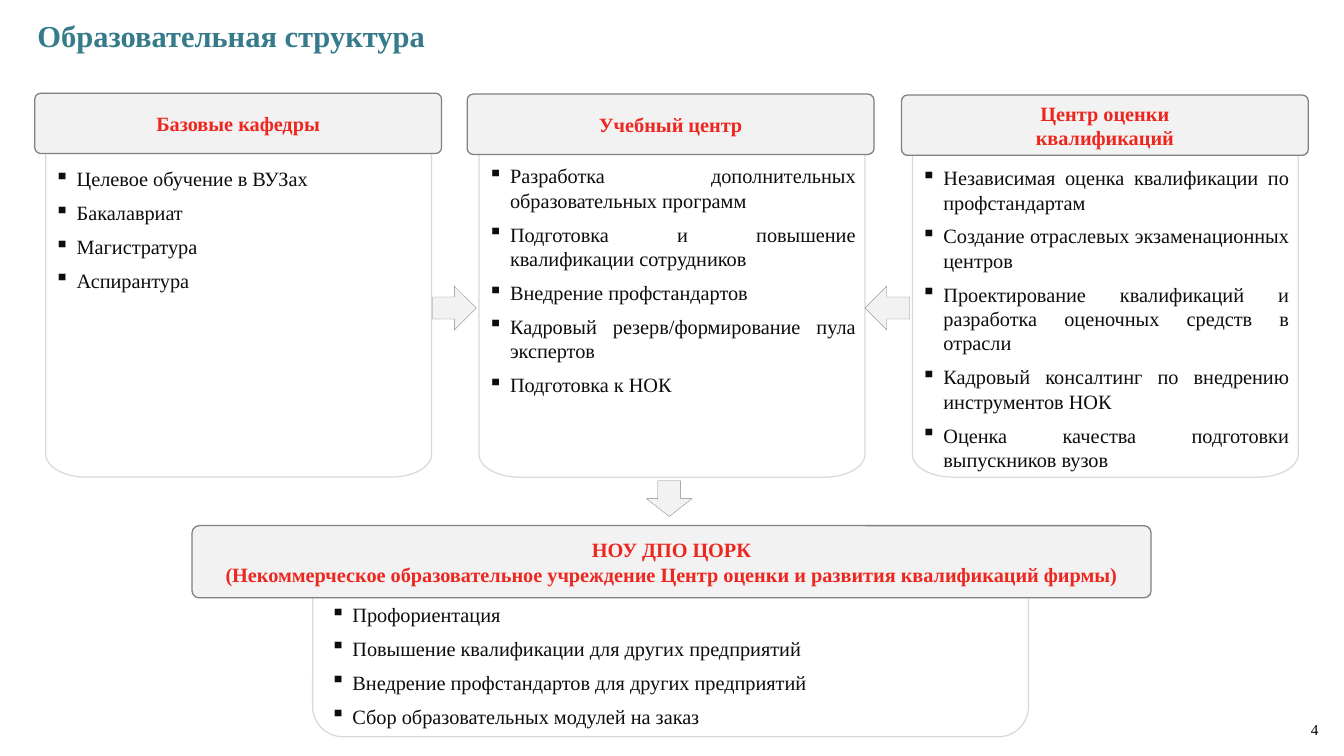
import math

from lxml import etree
from pptx import Presentation
from pptx.dml.color import RGBColor
from pptx.enum import shapes, text
from pptx.oxml import ns
from pptx.util import Inches, Pt

FONT = "Times New Roman"
TEAL = RGBColor(0x35, 0x7B, 0x8B)
RED = RGBColor(0xED, 0x27, 0x20)
INK = RGBColor(0x0D, 0x0D, 0x0D)
BLACK = RGBColor(0, 0, 0)
WHITE = RGBColor(0xFF, 0xFF, 0xFF)
PALE = RGBColor(0xF2, 0xF2, 0xF2)
LIGHT_GREY = RGBColor(0xD9, 0xD9, 0xD9)
GREY = RGBColor(0x80, 0x80, 0x80)

TITLE = "Образовательная структура"
PAGE = "4"

# header left, header top, panel left, panel top, header lines, bullet items
UNITS = [
    (0.38, 1.02, 0.5, 1.36, ["Базовые кафедры"], [
        "Целевое обучение в ВУЗах",
        "Бакалавриат",
        "Магистратура",
        "Аспирантура",
    ]),
    (5.11, 1.03, 5.24, 1.33, ["Учебный центр"], [
        "Разработка дополнительных образовательных программ",
        "Подготовка и повышение квалификации сотрудников",
        "Внедрение профстандартов",
        "Кадровый резерв/формирование пула экспертов",
        "Подготовка к НОК",
    ]),
    (9.86, 1.04, 9.98, 1.35, ["Центр оценки", "квалификаций"], [
        "Независимая оценка квалификации по профстандартам",
        "Создание отраслевых экзаменационных центров",
        "Проектирование квалификаций и разработка оценочных средств в отрасли",
        "Кадровый консалтинг по внедрению инструментов НОК",
        "Оценка качества подготовки выпускников вузов",
    ]),
]
HEADER_W, HEADER_H = 4.45, 0.66
PANEL_W, PANEL_BOTTOM = 4.22, 5.22
CORNER_W, CORNER_H = 0.44, 0.25

OUTCOME_HEADER = [
    "НОУ ДПО ЦОРК",
    "(Некоммерческое образовательное учреждение Центр оценки и развития квалификаций фирмы)",
]
OUTCOME_ITEMS = [
    "Профориентация",
    "Повышение квалификации для других предприятий",
    "Внедрение профстандартов для других предприятий",
    "Сбор образовательных модулей на заказ",
]

ARROWS = [
    (shapes.MSO_SHAPE.RIGHT_ARROW, 4.73, 3.13, 0.48, 0.48),
    (shapes.MSO_SHAPE.DOWN_ARROW, 7.07, 5.26, 0.5, 0.39),
    (shapes.MSO_SHAPE.LEFT_ARROW, 9.46, 3.13, 0.49, 0.48),
]

prs = Presentation()
prs.slide_width, prs.slide_height = Inches(14.7), Inches(8.27)
slide = prs.slides.add_slide(prs.slide_layouts[6])


def paint(shape, fill, line, width=1):
    shape.shadow.inherit = False
    shape.fill.solid()
    shape.fill.fore_color.rgb = fill
    shape.line.color.rgb = line
    shape.line.width = Pt(width)


def add_preset(kind, left, top, width, height):
    return slide.shapes.add_shape(
        kind, Inches(left), Inches(top), Inches(width), Inches(height))


def style(paragraph, size, color, align, bold=False):
    paragraph.alignment = align
    font = paragraph.font
    font.name, font.size, font.bold = FONT, Pt(size), bold
    font.color.rgb = color


def add_label(words, left, top, width, height, size, color, align, bold=False):
    box = slide.shapes.add_textbox(
        Inches(left), Inches(top), Inches(width), Inches(height))
    frame = box.text_frame
    frame.word_wrap = True
    frame.text = words
    style(frame.paragraphs[0], size, color, align, bold)
    return frame


def add_header(lines, left, top, width, height):
    header = add_preset(shapes.MSO_SHAPE.ROUNDED_RECTANGLE, left, top, width, height)
    header.adjustments[0] = 0.1
    paint(header, PALE, GREY)
    frame = header.text_frame
    frame.word_wrap = True
    frame.vertical_anchor = text.MSO_ANCHOR.MIDDLE
    frame.text = "\n".join(lines)
    for paragraph in frame.paragraphs:
        style(paragraph, 16, RED, text.PP_ALIGN.CENTER, True)


def add_panel(left, top):
    """Outline with square top corners and elliptical bottom corners."""
    right = left + PANEL_W
    turn = [math.radians(angle) for angle in range(0, 91, 10)]
    arc = [(CORNER_W * (1 - math.cos(a)), PANEL_BOTTOM - CORNER_H * (1 - math.sin(a)))
           for a in turn]
    outline = [(right, top)]
    outline += [(right - dx, y) for dx, y in arc]
    outline += [(left + dx, y) for dx, y in reversed(arc)]
    builder = slide.shapes.build_freeform(Inches(left), Inches(top))
    builder.add_line_segments([(Inches(x), Inches(y)) for x, y in outline], close=True)
    return builder.convert_to_shape()


def fill_panel(panel, items, top_inset):
    paint(panel, WHITE, LIGHT_GREY)
    frame = panel.text_frame
    frame.word_wrap = True
    frame.vertical_anchor = text.MSO_ANCHOR.TOP
    frame.margin_top = Inches(top_inset)
    frame.text = "\n".join(items)
    for index, paragraph in enumerate(frame.paragraphs):
        props = paragraph._p.get_or_add_pPr()
        props.set("marL", str(Inches(0.24)))
        props.set("indent", str(-Inches(0.24)))
        etree.SubElement(props, ns.qn("a:buChar")).set("char", "▪")
        if index:
            paragraph.space_before = Pt(7.5)
        style(paragraph, 16, INK, text.PP_ALIGN.JUSTIFY)


title = add_label(TITLE, 0.41, 0.19, 12.3, 0.42, 24, TEAL, text.PP_ALIGN.LEFT, True)
title.margin_left = title.margin_top = title.margin_right = title.margin_bottom = 0
page = add_label(PAGE, 14.02, 7.7, 0.5, 0.55, 12, BLACK, text.PP_ALIGN.RIGHT)
page.vertical_anchor = text.MSO_ANCHOR.MIDDLE

outcome = add_preset(shapes.MSO_SHAPE.ROUNDED_RECTANGLE, 3.42, 6.07, 7.83, 1.99)
fill_panel(outcome, OUTCOME_ITEMS, 0.42)
add_header(OUTCOME_HEADER, 2.1, 5.75, 10.49, 0.79)

for header_left, header_top, panel_left, panel_top, heading, items in UNITS:
    fill_panel(add_panel(panel_left, panel_top), items, 0.46)
    add_header(heading, header_left, header_top, HEADER_W, HEADER_H)

for kind, *place in ARROWS:
    paint(add_preset(kind, *place), PALE, GREY, 0.25)

prs.save("out.pptx")
